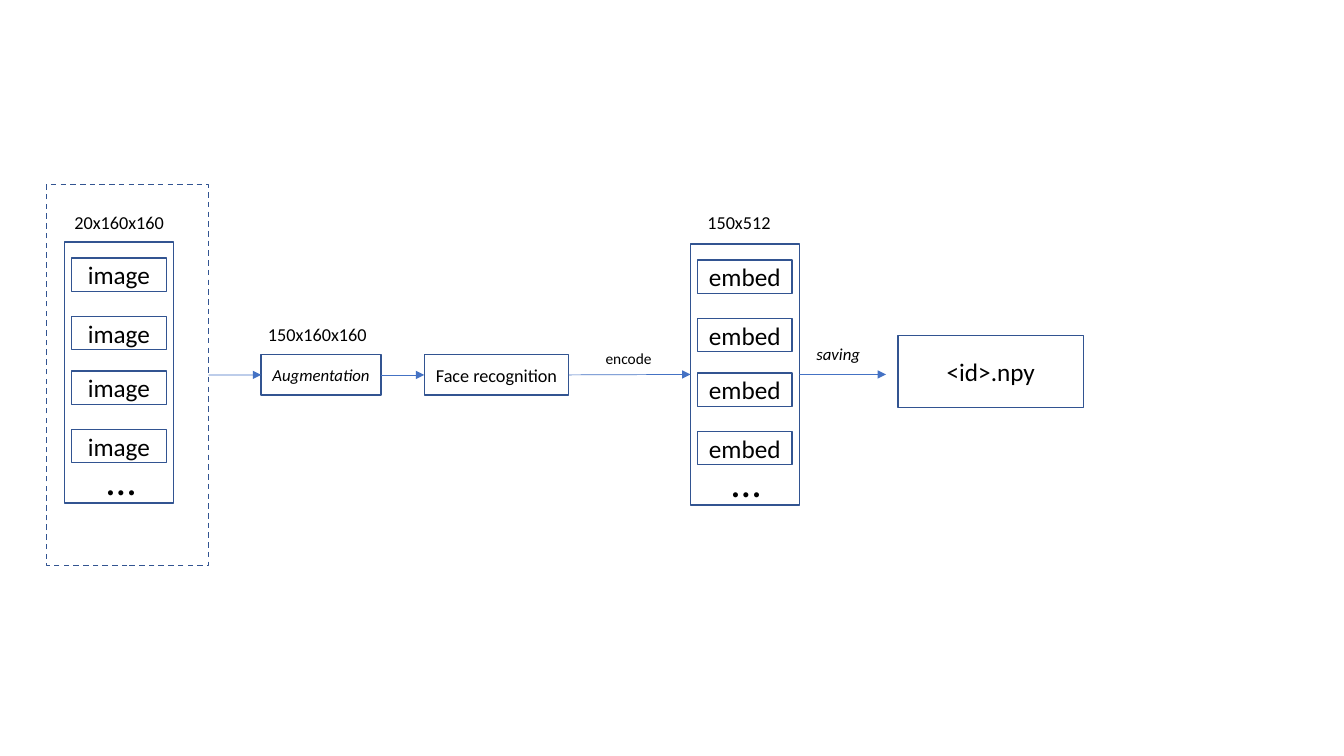
from pptx import Presentation
from pptx.dml.color import RGBColor
from pptx.enum.dml import MSO_LINE
from pptx.enum.shapes import MSO_CONNECTOR, MSO_SHAPE
from pptx.enum.text import MSO_ANCHOR, PP_ALIGN
from pptx.oxml.ns import qn
from pptx.util import Pt
from lxml.etree import SubElement

COLORS = {"outline": "325491", "arrow": "4472C4", "text": "000000"}

deck = Presentation()
deck.slide_width, deck.slide_height = Pt(960), Pt(540)
page = deck.slides.add_slide(deck.slide_layouts[6])


def write(shape, text, size, italic=False):
    para = shape.text_frame.paragraphs[0]
    para.text = text
    para.font.name = "Calibri"
    para.font.size = Pt(size)
    para.font.italic = italic
    para.font.color.rgb = RGBColor.from_string(COLORS["text"])
    return para


def add_box(left, top, width, height, text="", size=18, italic=False):
    box = page.shapes.add_shape(
        MSO_SHAPE.RECTANGLE, Pt(left), Pt(top), Pt(width), Pt(height))
    box.shadow.inherit = False
    box.fill.background()
    box.line.color.rgb = RGBColor.from_string(COLORS["outline"])
    box.line.width = Pt(1)
    if text:
        frame = box.text_frame
        frame.margin_left = frame.margin_right = 0
        frame.margin_top = frame.margin_bottom = 0
        frame.vertical_anchor = MSO_ANCHOR.MIDDLE
        write(box, text, size, italic).alignment = PP_ALIGN.CENTER
    return box


dataset = add_box(33.1, 131.8, 115.9, 272.2)
dataset.line.dash_style = MSO_LINE.DASH

stacks = []
for left, top, item in [(46.1, 172.8, "image"), (493.2, 174.2, "embed")]:
    stacks.append(add_box(left, top, 77.8, 186.5))
    for offset in (11.5, 53.3, 92.2, 134):
        add_box(left + 5, top + offset, 67.7, 23.8, item)

augmentation = add_box(186.5, 253.4, 85.7, 28.8, "Augmentation", 12, True)
recognition = add_box(303.1, 253.4, 103, 28.8, "Face recognition", 13)
add_box(641.5, 239.8, 132.5, 51.1, "<id>.npy")

labels = [
    ("20x160x160", 46.1, 147.6, 108, 23, 13, False),
    ("150x160x160", 184.3, 227.5, 91.4, 23, 13, False),
    ("150x512", 498.2, 147.6, 92.2, 23, 13, False),
    ("encode", 425.5, 245.5, 69.1, 20.9, 11, False),
    ("saving", 576, 241.9, 77.8, 21.6, 12, True),
    ("…", 69.1, 320.4, 55.4, 43.9, 30, False),
    ("…", 515.5, 321.8, 55.4, 43.9, 30, False),
]
for text, left, top, width, height, size, italic in labels:
    label = page.shapes.add_textbox(Pt(left), Pt(top), Pt(width), Pt(height))
    label.text_frame.word_wrap = True
    write(label, text, size, italic)

embeddings = stacks[1]
arrows = [(dataset, augmentation), (augmentation, recognition),
          (recognition, embeddings), (embeddings, None)]
for source, target in arrows:
    arrow = page.shapes.add_connector(
        MSO_CONNECTOR.STRAIGHT, Pt(571), Pt(267.5), Pt(632.9), Pt(267.5))
    arrow.begin_connect(source, 3)
    if target:
        arrow.end_connect(target, 1)
    arrow.line.color.rgb = RGBColor.from_string(COLORS["arrow"])
    arrow.line.width = Pt(0.5)
    properties = arrow.line._get_or_add_ln()
    SubElement(properties, qn("a:tailEnd"), type="triangle")
    SubElement(properties.getparent(), qn("a:effectLst"))

deck.save("out.pptx")
